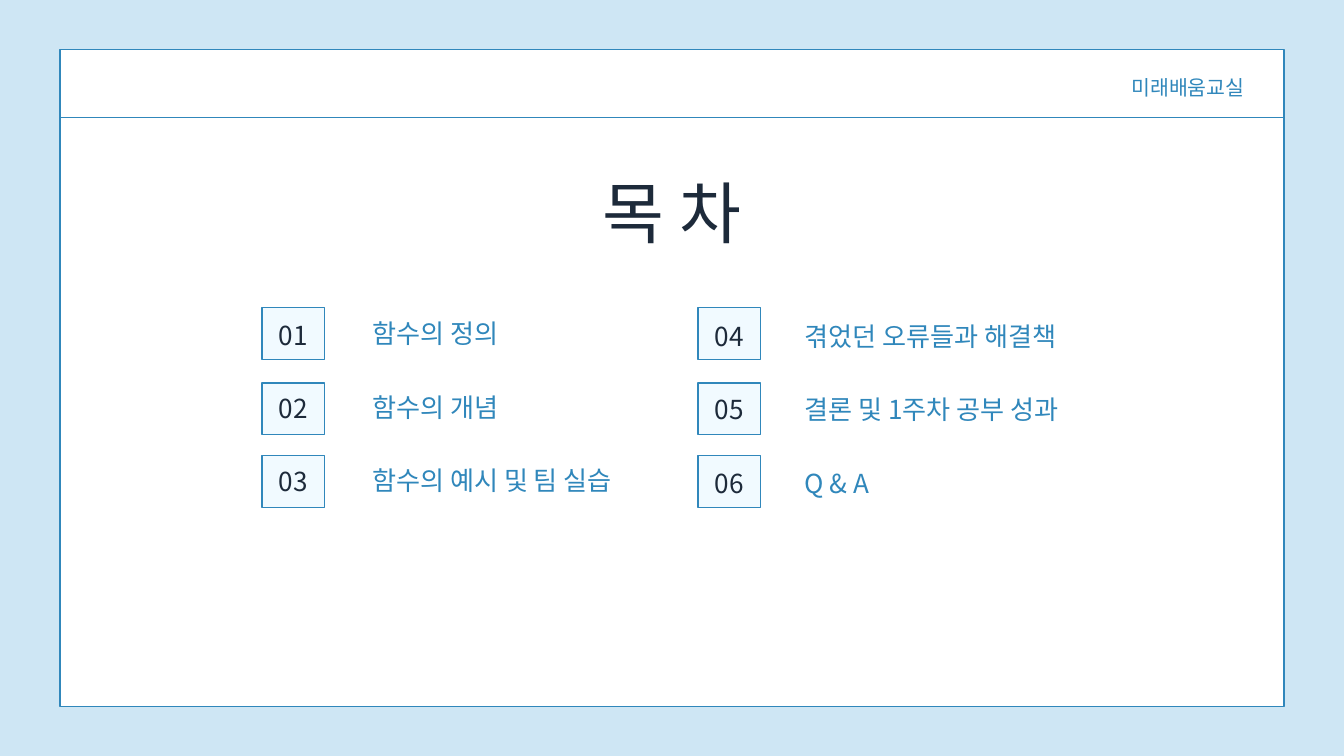
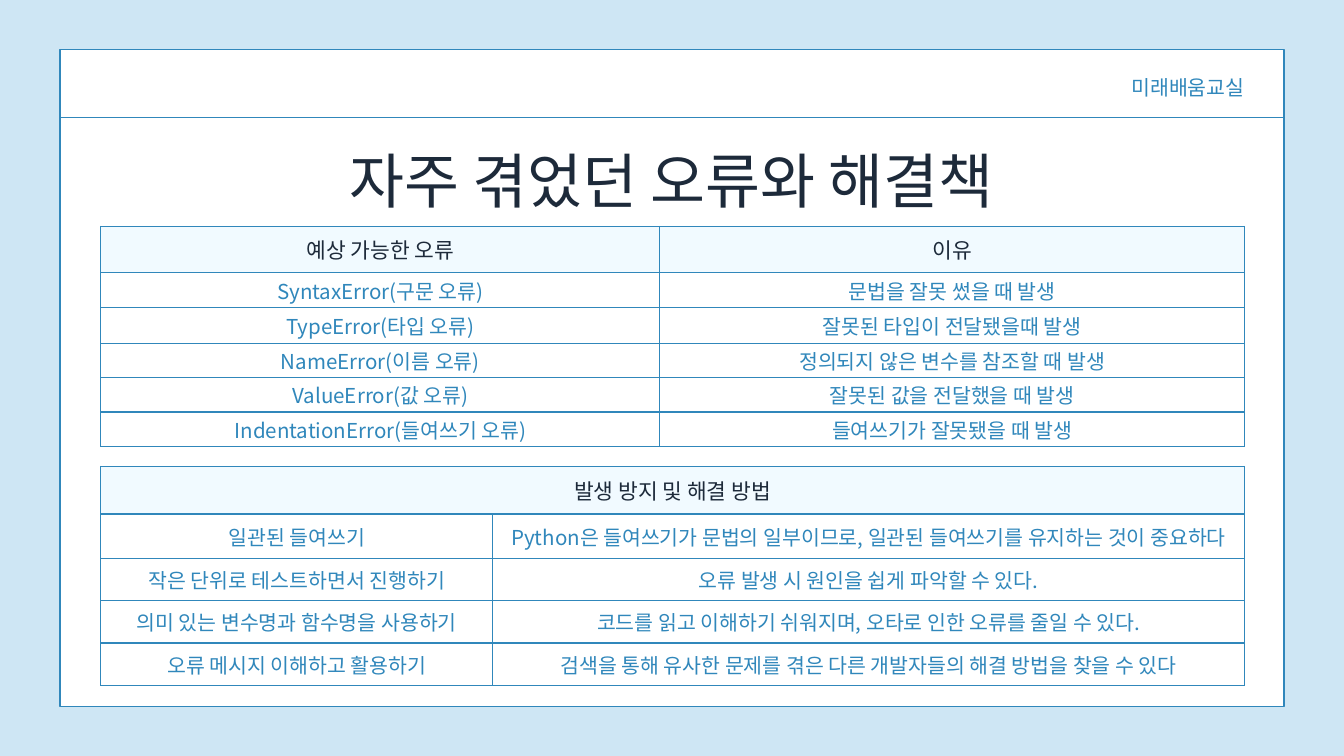
from lxml import etree
from pptx import Presentation
from pptx.dml.color import RGBColor
from pptx.enum.shapes import MSO_CONNECTOR, MSO_SHAPE
from pptx.enum.text import MSO_ANCHOR, MSO_AUTO_SIZE, PP_ALIGN
from pptx.oxml.ns import qn
from pptx.util import Inches, Pt

LEFT, CENTER, RIGHT = PP_ALIGN.LEFT, PP_ALIGN.CENTER, PP_ALIGN.RIGHT
TOP, MIDDLE = MSO_ANCHOR.TOP, MSO_ANCHOR.MIDDLE
GROW = MSO_AUTO_SIZE.SHAPE_TO_FIT_TEXT
RECTANGLE, STRAIGHT = MSO_SHAPE.RECTANGLE, MSO_CONNECTOR.STRAIGHT

FONT = "Noto Sans CJK KR"
COLORS = {
    "sky": "CEE6F4",
    "blue": "3087BB",
    "ice": "F1FAFF",
    "navy": "1D2A3A",
    "white": "FFFFFF",
}
LINE_WIDTH = 1.5
TITLE_ONLY = 5
BRAND = "미래배움교실"
PANEL = (0.89, 0.74, 18.22, 9.77)
HEADER_RULE_TOP = 1.75
TABLE_LEFT = 1.5

NUMBER_TOPS = (4.58, 5.7, 6.78)
TEXT_PITCH = 1.09
AGENDA_COLUMNS = [
    {
        "box_left": 3.9, "number_top": 4.75,
        "label_left": 5.54, "label_top": 4.73,
        "labels": ["함수의 정의", "함수의 개념", "함수의 예시 및 팀 실습"],
    },
    {
        "box_left": 10.39, "number_top": 4.77,
        "label_left": 11.97, "label_top": 4.77,
        "labels": ["겪었던 오류들과 해결책", "결론 및 1주차 공부 성과", "Q & A"],
    },
]

ERROR_ROWS = [
    ("예상 가능한 오류", "이유"),
    ("SyntaxError(구문 오류)", "문법을 잘못 썼을 때 발생"),
    ("TypeError(타입 오류)", "잘못된 타입이 전달됐을때 발생"),
    ("NameError(이름 오류)", "정의되지 않은 변수를 참조할 때 발생"),
    ("ValueError(값 오류)", "잘못된 값을 전달했을 때 발생"),
    ("IndentationError(들여쓰기 오류)", "들여쓰기가 잘못됐을 때 발생"),
]
SOLUTION_ROWS = [
    ("발생 방지 및 해결 방법", ""),
    ("일관된 들여쓰기", "Python은 들여쓰기가 문법의 일부이므로, 일관된 들여쓰기를 유지하는 것이 중요하다"),
    ("작은 단위로 테스트하면서 진행하기", "오류 발생 시 원인을 쉽게 파악할 수 있다."),
    ("의미 있는 변수명과 함수명을 사용하기", "코드를 읽고 이해하기 쉬워지며, 오타로 인한 오류를 줄일 수 있다."),
    ("오류 메시지 이해하고 활용하기", "검색을 통해 유사한 문제를 겪은 다른 개발자들의 해결 방법을 찾을 수 있다"),
]


def rgb(name):
    return RGBColor.from_string(COLORS[name])


def write_text(frame, text, size, color, align, spacing):
    frame.text = text
    para = frame.paragraphs[0]
    para.alignment = align
    para.line_spacing = Pt(spacing)
    for span in para.runs:
        span.font.name = FONT
        span.font.size = Pt(size)
        span.font.color.rgb = rgb(color)
        latin = span.font._element.find(qn("a:latin"))
        east_asian = etree.Element(qn("a:ea"), typeface=FONT)
        latin.addnext(east_asian)


def fit_frame(frame):
    frame.margin_left = frame.margin_right = 0
    frame.margin_top = frame.margin_bottom = 0
    frame.vertical_anchor = TOP
    frame.word_wrap = True
    frame.auto_size = GROW


def add_text(page, area, text, size, color, align, spacing):
    box = page.shapes.add_textbox(*map(Inches, area))
    fit_frame(box.text_frame)
    write_text(box.text_frame, text, size, color, align, spacing)


def add_box(page, area, fill):
    box = page.shapes.add_shape(RECTANGLE, *map(Inches, area))
    box.shadow.inherit = False
    box.fill.solid()
    box.fill.fore_color.rgb = rgb(fill)
    box.line.color.rgb = rgb("blue")
    box.line.width = Pt(LINE_WIDTH)


def add_rule(page, left, top, width):
    rule = page.shapes.add_connector(
        STRAIGHT, Inches(left), Inches(top), Inches(left + width), Inches(top)
    )
    rule.line.color.rgb = rgb("blue")
    rule.line.width = Pt(LINE_WIDTH)
    etree.SubElement(rule._element.spPr, qn("a:effectLst"))


def place_title(page, text, area, size):
    title = page.shapes.title
    title.left, title.top, title.width, title.height = map(Inches, area)
    fit_frame(title.text_frame)
    write_text(title.text_frame, text, size, "navy", CENTER, 89.6)


def add_page(deck, title, title_area, title_size):
    page = deck.slides.add_slide(deck.slide_layouts[TITLE_ONLY])
    page.background.fill.solid()
    page.background.fill.fore_color.rgb = rgb("sky")
    add_box(page, PANEL, "white")
    add_rule(page, PANEL[0], HEADER_RULE_TOP, PANEL[2])
    add_text(page, (14.41, 1.06, 4.11, 0.42), BRAND, 22, "blue", RIGHT, 30.8)
    place_title(page, title, title_area, title_size)
    title_element = page.shapes.title._element
    title_element.getparent().append(title_element)
    return page


def add_agenda_column(page, column, first_number):
    for row, label in enumerate(column["labels"]):
        shift = row * TEXT_PITCH
        left = column["box_left"]
        add_box(page, (left, NUMBER_TOPS[row], 0.93, 0.77), "ice")
        number_area = (left - 0.18, column["number_top"] + shift, 1.29, 0.45)
        add_text(page, number_area, f"{first_number + row:02}", 28, "navy", CENTER, 33.6)
        label_area = (column["label_left"], column["label_top"] + shift, 4.9, 0.47)
        add_text(page, label_area, label, 28, "blue", LEFT, 33.6)


def border_cell(cell):
    properties = cell._tc.get_or_add_tcPr()
    for index, edge in enumerate(("a:lnL", "a:lnR", "a:lnT", "a:lnB")):
        line = etree.Element(qn(edge), w=str(Pt(LINE_WIDTH)))
        fill = etree.SubElement(line, qn("a:solidFill"))
        etree.SubElement(fill, qn("a:srgbClr"), val=COLORS["blue"])
        properties.insert(index, line)


def format_cell(cell, text, is_header):
    cell.margin_left = cell.margin_right = 0
    cell.margin_top = cell.margin_bottom = 0
    cell.vertical_anchor = MIDDLE
    if is_header:
        cell.fill.solid()
        cell.fill.fore_color.rgb = rgb("ice")
        size, color = 23, "navy"
    else:
        cell.fill.background()
        size, color = 22, "blue"
    write_text(cell.text_frame, text, size, color, CENTER, 32.2)
    border_cell(cell)


def add_grid(page, top, rows, widths, heights):
    frame = page.shapes.add_table(
        len(rows), len(widths), Inches(TABLE_LEFT), Inches(top),
        Inches(sum(widths)), Inches(sum(heights)),
    )
    table = frame.table
    table.first_row = False
    table.horz_banding = False
    for column, width in zip(table.columns, widths):
        column.width = Inches(width)
    for row, height in zip(table.rows, heights):
        row.height = Inches(height)
    for row_index, texts in enumerate(rows):
        for column_index, text in enumerate(texts):
            format_cell(table.cell(row_index, column_index), text, row_index == 0)
    return table


def build_agenda(deck):
    page = add_page(deck, "목 차", (6.94, 2.51, 6.13, 1.26), 72)
    first_number = 1
    for column in AGENDA_COLUMNS:
        add_agenda_column(page, column, first_number)
        first_number += len(column["labels"])


def build_errors(deck):
    page = add_page(deck, "자주 겪었던 오류와 해결책", (2.9, 1.96, 14.19, 1.26), 64)
    add_grid(page, 3.37, ERROR_ROWS, (8.32, 8.7), (0.68, 0.53, 0.53, 0.51, 0.51, 0.51))
    solutions = add_grid(
        page, 6.94, SOLUTION_ROWS, (5.83, 11.19), (0.71, 0.66, 0.63, 0.63, 0.63)
    )
    solutions.cell(0, 0).merge(solutions.cell(0, 1))


def main():
    deck = Presentation()
    deck.slide_width = Inches(20)
    deck.slide_height = Inches(11.25)
    build_agenda(deck)
    build_errors(deck)
    deck.save("out.pptx")


if __name__ == "__main__":
    main()
